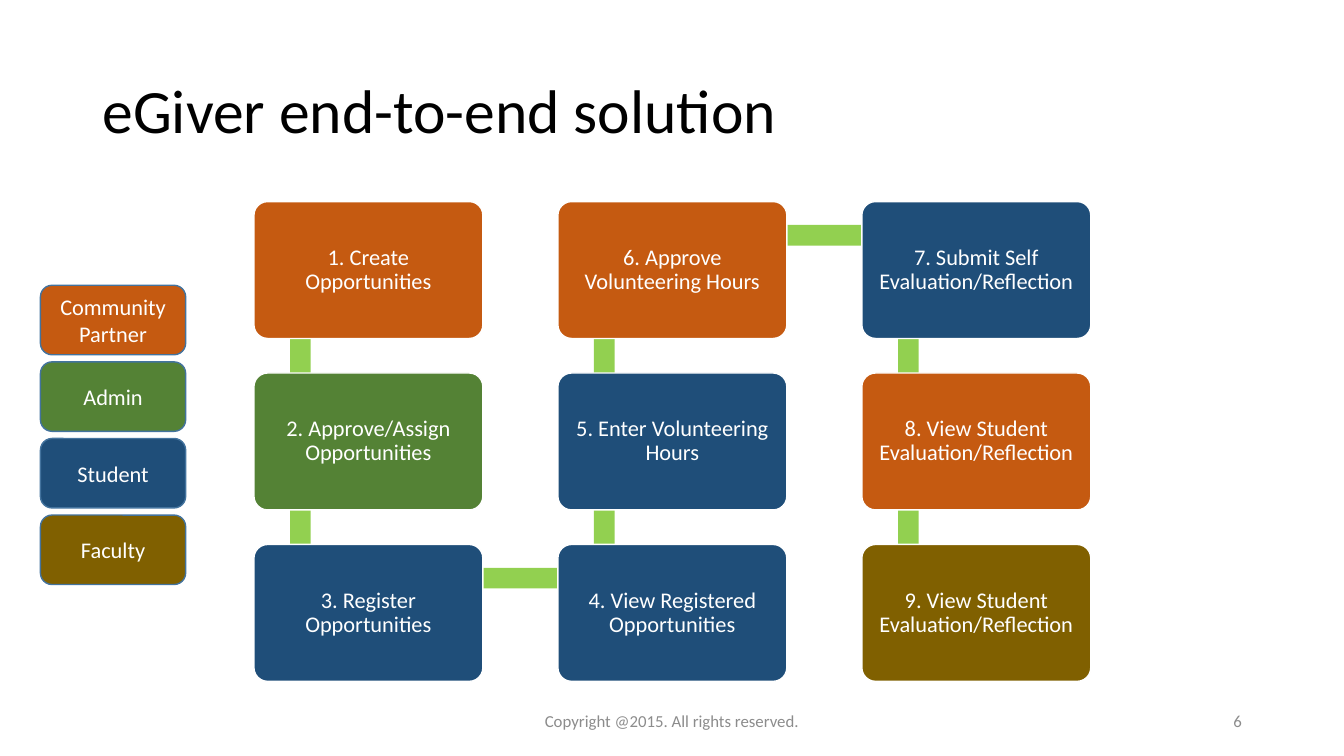
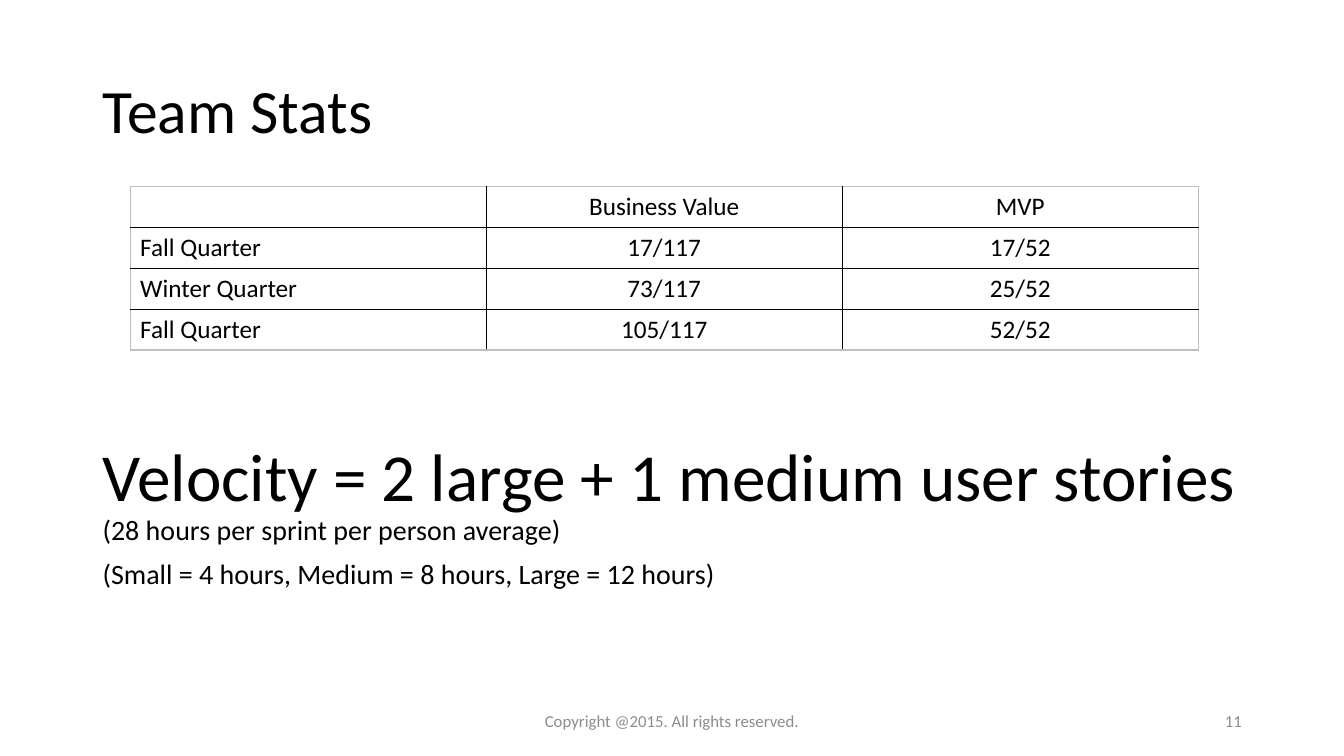
from math import atan2, degrees, hypot

from lxml.etree import SubElement
from pptx import Presentation
from pptx.dml.color import RGBColor
from pptx.enum.shapes import MSO_SHAPE
from pptx.enum.text import MSO_ANCHOR, MSO_AUTO_SIZE, PP_ALIGN
from pptx.oxml.ns import qn
from pptx.util import Cm, Pt

BLACK = RGBColor(0x00, 0x00, 0x00)
WHITE = RGBColor(0xFF, 0xFF, 0xFF)
GRAY = RGBColor(0x8C, 0x8C, 0x8C)
PALE = RGBColor(0xBF, 0xBF, 0xBF)
LIME = RGBColor(0x92, 0xD0, 0x50)
STEEL = RGBColor(0x43, 0x73, 0x9E)

ROLES = {
    "Community Partner": RGBColor(0xC5, 0x5A, 0x11),
    "Admin": RGBColor(0x54, 0x82, 0x35),
    "Student": RGBColor(0x1F, 0x4E, 0x79),
    "Faculty": RGBColor(0x80, 0x60, 0x00),
}
STEPS = [
    ("1. Create Opportunities", "Community Partner"),
    ("2. Approve/Assign Opportunities", "Admin"),
    ("3. Register Opportunities", "Student"),
    ("4. View Registered Opportunities", "Student"),
    ("5. Enter Volunteering Hours", "Student"),
    ("6. Approve Volunteering Hours", "Community Partner"),
    ("7. Submit Self Evaluation/Reflection", "Student"),
    ("8. View Student Evaluation/Reflection", "Community Partner"),
    ("9. View Student Evaluation/Reflection", "Faculty"),
]
STATS = [
    ("", "Business Value", "MVP"),
    ("Fall Quarter", "17/117", "17/52"),
    ("Winter Quarter", "73/117", "25/52"),
    ("Fall Quarter", "105/117", "52/52"),
]
SPEED = "Velocity = 2 large + 1 medium user stories"
NOTES = [
    "(28 hours per sprint per person average)",
    "(Small = 4 hours, Medium = 8 hours, Large = 12 hours)",
]
COPY = "Copyright @2015. All rights reserved."

ROWS = 3
LEFT, TOP = 6.4, 5.08
STEP_X, STEP_Y = 7.66, 4.32
BOX_W, BOX_H = 5.77, 3.45
PIN_X, PIN_Y, BAR = 1.17, 0.85, 0.52


def assign(item, values):
    for name, value in values.items():
        setattr(item, name, value)


def place(shape, left, top, width, height):
    assign(shape, {"left": Cm(left), "top": Cm(top),
                   "width": Cm(width), "height": Cm(height)})


def style(para, size, color=BLACK, **look):
    assign(para, look)
    for run in para.runs:
        assign(run.font, {"name": "Calibri", "size": Pt(size), "bold": False})
        run.font.color.rgb = color


def frame(shape, **look):
    assign(shape.text_frame, {"word_wrap": True, "auto_size": MSO_AUTO_SIZE.NONE,
                              "vertical_anchor": MSO_ANCHOR.MIDDLE, **look})
    return shape.text_frame


def draw(slide, kind, spot, fill, line=None):
    shape = slide.shapes.add_shape(kind, *map(Cm, spot))
    shape.shadow.inherit = False
    shape.fill.solid()
    shape.fill.fore_color.rgb = fill
    if line is None:
        shape.line.fill.background()
    else:
        shape.line.color.rgb = line
        shape.line.width = Pt(1)
    return shape


def label(shape, text, size, color, align, **look):
    para = frame(shape, **look).paragraphs[0]
    para.text = text
    style(para, size, color, alignment=align)
    return para


def start(deck, layout, title, number):
    slide = deck.slides.add_slide(deck.slide_layouts[layout])
    head = slide.shapes.title
    place(head, 2.33, 1.01, 29.21, 3.68)
    label(head, title, 44, BLACK, PP_ALIGN.LEFT).line_spacing = 0.9
    for text, left, width, align in (
        (number, 23.93, 7.62, PP_ALIGN.RIGHT),
        (COPY, 11.22, 11.43, PP_ALIGN.CENTER),
    ):
        foot = slide.shapes.add_textbox(Cm(left), Cm(17.65), Cm(width), Cm(1.01))
        label(foot, text, 12, GRAY, align)
    return slide


def spot(index):
    col, row = divmod(index, ROWS)
    if col % 2:
        row = ROWS - 1 - row
    return LEFT + col * STEP_X, TOP + row * STEP_Y


def link(slide, index):
    (x1, y1), (x2, y2) = spot(index), spot(index + 1)
    span = hypot(x2 - x1, y2 - y1)
    mid_x, mid_y = (x1 + x2) / 2 + PIN_X, (y1 + y2) / 2 + PIN_Y
    bar = draw(slide, MSO_SHAPE.RECTANGLE,
               (mid_x - span / 2, mid_y - BAR / 2, span, BAR), LIME)
    bar.rotation = degrees(atan2(y2 - y1, x2 - x1)) % 360


def flow(deck):
    slide = start(deck, 5, "eGiver end-to-end solution", "6")
    pads = dict.fromkeys(
        ("margin_left", "margin_right", "margin_top", "margin_bottom"), Cm(0.28))
    for index, (text, role) in enumerate(STEPS):
        if index < len(STEPS) - 1:
            link(slide, index)
        box = draw(slide, MSO_SHAPE.ROUNDED_RECTANGLE,
                   (*spot(index), BOX_W, BOX_H), ROLES[role], WHITE)
        box.adjustments[0] = 0.1
        label(box, text, 16, WHITE, PP_ALIGN.CENTER, **pads).line_spacing = 0.9
    for index, (role, color) in enumerate(ROLES.items()):
        key = draw(slide, MSO_SHAPE.ROUNDED_RECTANGLE,
                   (1.02, 7.19 + index * 1.93, 3.66, 1.75), color, STEEL)
        label(key, role, 16, WHITE, PP_ALIGN.CENTER)


def border(cell, edges):
    props = cell._tc.get_or_add_tcPr()
    for index, (side, color) in enumerate(edges.items()):
        line = props.makeelement(qn("a:" + side), {"w": str(Pt(1))})
        fill = SubElement(line, qn("a:solidFill"))
        SubElement(fill, qn("a:srgbClr"), {"val": str(color)})
        props.insert(index, line)


def grid(slide):
    rows, cols = len(STATS), len(STATS[0])
    table = slide.shapes.add_table(
        rows, cols, Cm(3.28), Cm(4.7), Cm(26.92), Cm(4.12)).table
    assign(table, {"first_row": False, "horz_banding": False})
    for r, texts in enumerate(STATS):
        for c, text in enumerate(texts):
            cell = table.cell(r, c)
            cell.text = text
            cell.fill.background()
            style(cell.text_frame.paragraphs[0], 18,
                  alignment=PP_ALIGN.CENTER if c else PP_ALIGN.LEFT)
            outer = {"lnL": c == 0, "lnR": c == cols - 1,
                     "lnT": r == 0, "lnB": r == rows - 1}
            border(cell, {side: PALE if edge else BLACK
                          for side, edge in outer.items()})


def stats(deck):
    slide = start(deck, 1, "Team Stats", "11")
    body = slide.placeholders[1]
    place(body, 2.33, 11.05, 29.62, 4.95)
    text = frame(body, vertical_anchor=MSO_ANCHOR.TOP)
    first, last = text.paragraphs[0], text.add_paragraph()
    first.add_run().text = SPEED
    first.add_line_break()
    first.add_run().text = NOTES[0]
    last.add_run().text = NOTES[1]
    for para in (first, last):
        style(para, 20, alignment=PP_ALIGN.LEFT, line_spacing=0.9,
              space_before=Pt(10))
        props = para._p.get_or_add_pPr()
        props.set("marL", "0")
        props.set("indent", "0")
        SubElement(props, qn("a:buNone"))
    first.runs[0].font.size = Pt(48)
    grid(slide)


def main():
    deck = Presentation()
    assign(deck, {"slide_width": Cm(33.87), "slide_height": Cm(19.05)})
    flow(deck)
    stats(deck)
    deck.save("out.pptx")


if __name__ == "__main__":
    main()
